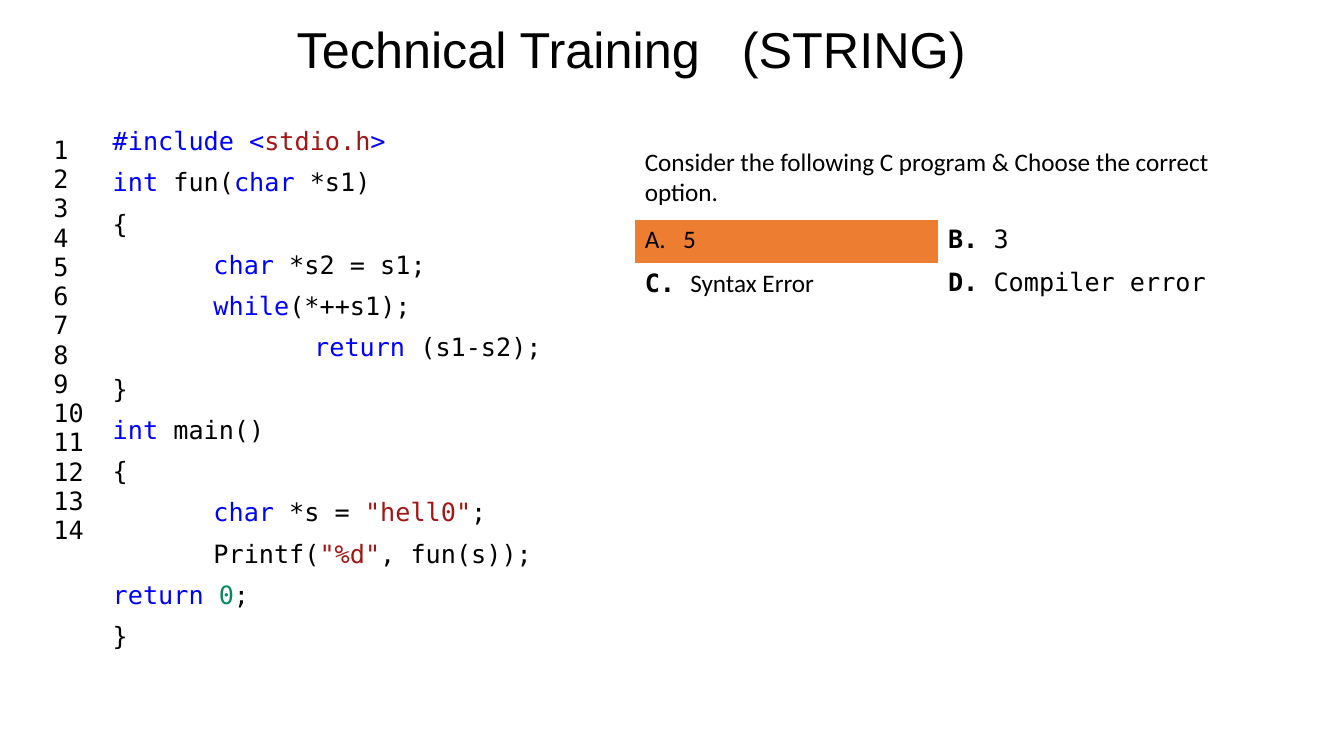
from dataclasses import dataclass
from lxml import etree
from pptx import Presentation
from pptx.dml.color import RGBColor
from pptx.enum.text import MSO_ANCHOR, MSO_AUTO_SIZE, PP_ALIGN
from pptx.oxml.ns import qn
from pptx.util import Inches, Pt

CENTER = PP_ALIGN.CENTER
LEFT = PP_ALIGN.LEFT
TOP = MSO_ANCHOR.TOP
MIDDLE = MSO_ANCHOR.MIDDLE
FIT_SHAPE = MSO_AUTO_SIZE.SHAPE_TO_FIT_TEXT
TITLE_ONLY = 5
PLAIN_TABLE_STYLE = "{2D5ABB26-0587-4C30-8999-92F81FD0307C}"

# The slide is a grid of square cells
COLUMNS, ROWS = 133.4, 75
CELL = Inches(0.1)


@dataclass(frozen=True)
class Theme:
    text: str = "000000"
    keyword: str = "0000FF"
    string: str = "A31515"
    number: str = "09885A"
    answer: str = "ED7D31"
    title_font: str = "Arial"
    body_font: str = "Calibri"
    code_font: str = "DejaVu Sans Mono"
    title_size: int = 36
    body_size: int = 18


THEME = Theme()
TEXT, KEYWORD, STRING, NUMBER = THEME.text, THEME.keyword, THEME.string, THEME.number
BODY = {"name": THEME.body_font, "size": Pt(THEME.body_size), "bold": False}
CODE = {**BODY, "name": THEME.code_font}
CODE_BOLD = {**CODE, "bold": True}
TITLE = {"name": THEME.title_font, "size": Pt(THEME.title_size), "bold": False}

TITLE_BOX = (22.9, 1.3, 79.5, 7)
NUMBERS_BOX = (4.3, 12.3, 5.9, 43)
CODE_BOX = (10.2, 12.3, 54.1, 58.8)
QUESTION_BOX = (63, 14.1, 60.2, 16.3)

LINE_COUNT = 14
CODE_LINES = [
    [("#include <", KEYWORD), ("stdio.h", STRING), (">", KEYWORD)],
    [("int", KEYWORD), (" fun(", TEXT), ("char", KEYWORD), (" *s1)", TEXT)],
    [("{", TEXT)],
    [("\tchar", KEYWORD), (" *s2 = s1;", TEXT)],
    [("\twhile", KEYWORD), ("(*++s1);", TEXT)],
    [("\t\treturn", KEYWORD), (" (s1-s2);", TEXT)],
    [("}", TEXT)],
    [("int", KEYWORD), (" main()", TEXT)],
    [("{", TEXT)],
    [("\tchar", KEYWORD), (" *s = ", TEXT), ('"hell0"', STRING), (";", TEXT)],
    [("\tPrintf(", TEXT), ('"%d"', STRING), (", fun(s));", TEXT)],
    [("return ", KEYWORD), ("0", NUMBER), (";", TEXT)],
    [("}", TEXT)],
]

QUESTION = "Consider the following C program & Choose the correct option."
# (row, column): runs of text with their format
OPTIONS = {
    (1, 0): [("5", BODY)],
    (1, 1): [("B.", CODE_BOLD), (" 3", CODE)],
    (2, 0): [("C. ", CODE_BOLD), ("Syntax Error", BODY)],
    (2, 1): [("D.", CODE_BOLD), (" Compiler error", CODE)],
}
ANSWER = (1, 0)


def to_lengths(box):
    return [int(cells * CELL) for cells in box]


def apply(target, values):
    for name, value in values.items():
        setattr(target, name, value)


def add_run(paragraph, text, font_format, color=TEXT):
    run = paragraph.add_run()
    run.text = text
    apply(run.font, font_format)
    run.font.color.rgb = RGBColor.from_string(color)
    return run


def next_paragraph(text_frame, index):
    return text_frame.add_paragraph() if index else text_frame.paragraphs[0]


def add_tab_stops(paragraph, count):
    tabs = etree.SubElement(paragraph._p.get_or_add_pPr(), qn("a:tabLst"))
    for inch in range(1, count + 1):
        etree.SubElement(tabs, qn("a:tab"), pos=str(Inches(inch)), algn="l")


def add_letter_numbering(paragraph):
    properties = paragraph._p.get_or_add_pPr()
    indent = Inches(0.38)
    properties.set("marL", str(indent))
    properties.set("indent", str(-indent))
    etree.SubElement(properties, qn("a:buFont"), typeface=THEME.body_font)
    etree.SubElement(properties, qn("a:buAutoNum"), type="alphaUcPeriod")


def add_plain_table(slide, box, row_heights, column_count):
    left, top, width, height = to_lengths(box)
    frame = slide.shapes.add_table(len(row_heights), column_count, left, top, width, height)
    table = frame.table
    apply(table, {"first_row": False, "horz_banding": False})
    table._tbl.tblPr.find(qn("a:tableStyleId")).text = PLAIN_TABLE_STYLE
    for column in table.columns:
        column.width = width // column_count
    for row, share in zip(table.rows, row_heights):
        row.height = int(height * share / sum(row_heights))
    for cell in table.iter_cells():
        cell.fill.background()
    return table


def add_title(slide, box):
    title = slide.shapes.title
    apply(title, dict(zip(("left", "top", "width", "height"), to_lengths(box))))
    apply(title.text_frame, {"word_wrap": True, "auto_size": FIT_SHAPE, "vertical_anchor": TOP})
    paragraph = title.text_frame.paragraphs[0]
    paragraph.alignment = CENTER
    add_run(paragraph, "Technical Training", TITLE)
    # One space, widened by letter spacing
    gap = add_run(paragraph, " ", TITLE)
    gap._r.get_or_add_rPr().set("spc", "2000")
    add_run(paragraph, "(STRING)", TITLE)


def add_line_numbers(slide, box):
    cell = add_plain_table(slide, box, [1], 1).cell(0, 0)
    cell.vertical_anchor = MIDDLE
    for index in range(LINE_COUNT):
        add_run(next_paragraph(cell.text_frame, index), str(index + 1), CODE)


def add_question(slide, box):
    table = add_plain_table(slide, box, [7.7, 4.3, 4.3], 2)
    table.cell(0, 0).merge(table.cell(0, 1))
    add_run(table.cell(0, 0).text_frame.paragraphs[0], QUESTION, BODY)
    for position, runs in OPTIONS.items():
        cell = table.cell(*position)
        paragraph = cell.text_frame.paragraphs[0]
        if position == ANSWER:
            add_letter_numbering(paragraph)
            cell.fill.solid()
            cell.fill.fore_color.rgb = RGBColor.from_string(THEME.answer)
        for text, font_format in runs:
            add_run(paragraph, text, font_format)


def add_code(slide, box):
    text_frame = slide.shapes.add_textbox(*to_lengths(box)).text_frame
    apply(text_frame, {"word_wrap": True, "auto_size": FIT_SHAPE})
    for index, tokens in enumerate(CODE_LINES):
        paragraph = next_paragraph(text_frame, index)
        add_tab_stops(paragraph, 2)
        space_before = Pt(10 if index else 0)
        apply(paragraph, {"alignment": LEFT, "line_spacing": 0.9, "space_before": space_before})
        for text, color in tokens:
            add_run(paragraph, text, CODE, color)


def main():
    presentation = Presentation()
    presentation.slide_width = int(COLUMNS * CELL)
    presentation.slide_height = int(ROWS * CELL)
    slide = presentation.slides.add_slide(presentation.slide_layouts[TITLE_ONLY])
    add_line_numbers(slide, NUMBERS_BOX)
    add_question(slide, QUESTION_BOX)
    add_title(slide, TITLE_BOX)
    add_code(slide, CODE_BOX)
    presentation.save("out.pptx")


if __name__ == "__main__":
    main()
